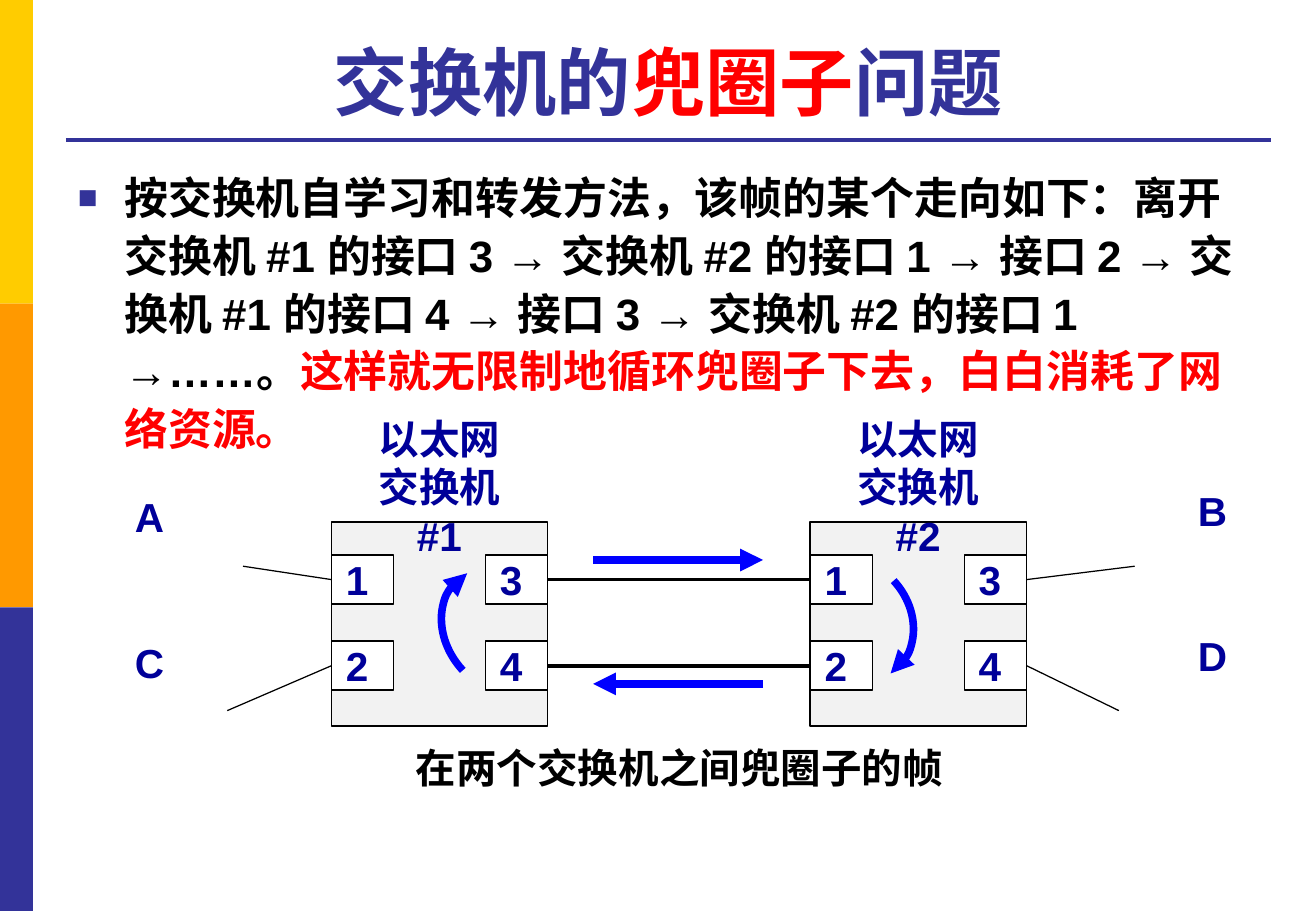
from lxml import etree
from pptx import Presentation
from pptx.dml.color import RGBColor
from pptx.enum.shapes import MSO_CONNECTOR, MSO_SHAPE
from pptx.enum.text import MSO_ANCHOR, MSO_AUTO_SIZE, PP_ALIGN
from pptx.oxml.ns import qn
from pptx.util import Cm, Pt

RECT, ARC = MSO_SHAPE.RECTANGLE, MSO_SHAPE.ARC
STRAIGHT = MSO_CONNECTOR.STRAIGHT
LEFT, CENTER = PP_ALIGN.LEFT, PP_ALIGN.CENTER
TOP, MIDDLE, BOTTOM = MSO_ANCHOR.TOP, MSO_ANCHOR.MIDDLE, MSO_ANCHOR.BOTTOM
NO_AUTOFIT = MSO_AUTO_SIZE.NONE
SIDE_LEFT, SIDE_RIGHT = 1, 3

BLACK = RGBColor(0x00, 0x00, 0x00)
WHITE = RGBColor(0xFF, 0xFF, 0xFF)
GRAY = RGBColor(0xF2, 0xF2, 0xF2)
RED = RGBColor(0xFF, 0x00, 0x00)
YELLOW = RGBColor(0xFF, 0xCC, 0x00)
ORANGE = RGBColor(0xFF, 0x99, 0x00)
INDIGO = RGBColor(0x33, 0x33, 0x99)
NAVY = RGBColor(0x00, 0x00, 0x99)
BLUE = RGBColor(0x00, 0x00, 0xFF)

SWITCH_W, SWITCH_H, SWITCH_TOP = 4.52, 4.27, 10.92
PORT_W, PORT_H = 1.3, 1.02
PORT_TOPS = (11.61, 13.41)


class Deck:
    font = "Arial"
    label_size = 24

    def __init__(self, width, height):
        self.prs = Presentation()
        self.prs.slide_width, self.prs.slide_height = Cm(width), Cm(height)

    def add_slide(self):
        self.slide = self.prs.slides.add_slide(self.prs.slide_layouts[5])

    def add_runs(self, p, parts, size, align=LEFT):
        """Fill a paragraph with (text, colour) parts."""
        p.alignment = align
        for text, color in parts:
            r = p.add_run()
            r.text = text
            r.font.name, r.font.size, r.font.bold = self.font, Pt(size), True
            r.font.color.rgb = color

    def title(self, box, parts):
        sp = self.slide.shapes.title
        sp.left, sp.top, sp.width, sp.height = map(Cm, box)
        tf = sp.text_frame
        tf.auto_size, tf.vertical_anchor = NO_AUTOFIT, BOTTOM
        self.add_runs(tf.paragraphs[0], parts, 44, CENTER)

    def text(self, box, lines, size=label_size, align=LEFT, margin=0.25):
        """Add a text box; each line is a list of (text, colour) parts."""
        tf = self.slide.shapes.add_textbox(*map(Cm, box)).text_frame
        tf.word_wrap, tf.auto_size, tf.vertical_anchor = True, NO_AUTOFIT, TOP
        tf.margin_left = tf.margin_right = Cm(margin)
        for i, parts in enumerate(lines):
            p = tf.add_paragraph() if i else tf.paragraphs[0]
            self.add_runs(p, parts, size, align)
        return tf

    def bullet(self, p, indent, color):
        pPr = p._p.get_or_add_pPr()
        pPr.set("marL", str(Cm(indent)))
        pPr.set("indent", str(-Cm(indent)))
        clr = etree.SubElement(pPr, qn("a:buClr"))
        etree.SubElement(clr, qn("a:srgbClr"), val=str(color))
        etree.SubElement(pPr, qn("a:buSzPct"), val="75000")
        etree.SubElement(pPr, qn("a:buFont"), typeface=self.font)
        etree.SubElement(pPr, qn("a:buChar"), char="■")

    def rect(self, box, fill, line=None, label=None):
        sp = self.slide.shapes.add_shape(RECT, *map(Cm, box))
        sp.shadow.inherit = False
        sp.fill.solid()
        sp.fill.fore_color.rgb = fill
        if line is None:
            sp.line.fill.background()
        else:
            sp.line.color.rgb, sp.line.width = line, Pt(1)
        if label:
            tf = sp.text_frame
            tf.word_wrap, tf.vertical_anchor = False, MIDDLE
            tf.margin_left = Cm(0.3)
            self.add_runs(tf.paragraphs[0], [(label, NAVY)], self.label_size)
        return sp

    def line(self, start, end, color=BLACK, width=0.75, begin=None, finish=None, arrow=False):
        """Add a line; begin and finish are (shape, side) joints."""
        c = self.slide.shapes.add_connector(STRAIGHT, *map(Cm, (*start, *end)))
        c.line.color.rgb, c.line.width = color, Pt(width)
        if begin:
            c.begin_connect(*begin)
        if finish:
            c.end_connect(*finish)
        if arrow:
            self.arrowhead(c)
        etree.SubElement(c._element.spPr, qn("a:effectLst"))

    def arc_arrow(self, box, rotation, end):
        sp = self.slide.shapes.add_shape(ARC, *map(Cm, box))
        sp.shadow.inherit = False
        sp.fill.background()
        sp.line.color.rgb, sp.line.width = BLUE, Pt(4.5)
        sp.rotation = rotation
        sp.adjustments[1] = end
        self.arrowhead(sp)

    def arrowhead(self, shape):
        ln = shape._element.spPr.find(qn("a:ln"))
        etree.SubElement(ln, qn("a:tailEnd"), type="triangle")

    def switch(self, left, number):
        """Draw a switch and return its four ports by number."""
        self.rect((left, SWITCH_TOP, SWITCH_W, SWITCH_H), GRAY, BLACK)
        ports = {}
        for i in range(4):
            col, row = divmod(i, 2)
            x = left + col * (SWITCH_W - PORT_W)
            ports[i + 1] = self.rect((x, PORT_TOPS[row], PORT_W, PORT_H), WHITE, BLACK, str(i + 1))
        self.text((left + 0.12, 8.53, 4.27, 2.31),
                  [[("以太网", NAVY)], [(f"交换机 #{number}", NAVY)]],
                  align=CENTER, margin=0.5)
        return ports


def main():
    deck = Deck(27.51, 19.05)
    deck.add_slide()
    for i, color in enumerate((YELLOW, ORANGE, INDIGO)):
        deck.rect((0, i * 6.35, 0.69, 6.35), color)
    deck.line((1.38, 2.93), (26.56, 2.93), INDIGO, 2.25)
    deck.title((1.38, 0.53, 25.18, 2.21),
               [("交换机的", INDIGO), ("兜圈子", RED), ("问题", INDIGO)])

    body = deck.text((1.38, 3.33, 25.18, 13.72), [[
        ("按交换机自学习和转发方法，该帧的某个走向如下：离开交换机 #1 的接口 3 → "
         "交换机 #2 的接口 1 → 接口 2 → 交换机 #1 的接口 4 → 接口 3 → "
         "交换机 #2 的接口 1 →……。", BLACK),
        ("这样就无限制地循环兜圈子下去，白白消耗了网络资源。", RED)]], 26)
    p = body.paragraphs[0]
    deck.bullet(p, 0.97, INDIGO)
    p.line_spacing = 1.1

    first = deck.switch(6.93, 1)
    second = deck.switch(16.94, 2)
    for right_port, left_port, top in zip((3, 4), (1, 2), PORT_TOPS):
        y = top + PORT_H / 2
        deck.line((11.45, y), (16.94, y), width=2.25,
                  begin=(first[right_port], SIDE_RIGHT), finish=(second[left_port], SIDE_LEFT))

    hosts = (
        ("A", (2.57, 10.16), (5.08, 11.84), (first[1], SIDE_LEFT)),
        ("C", (2.57, 13.21), (4.75, 14.86), (first[2], SIDE_LEFT)),
        ("B", (24.79, 10.03), (23.72, 11.84), (second[3], SIDE_RIGHT)),
        ("D", (24.79, 13.08), (23.39, 14.86), (second[4], SIDE_RIGHT)),
    )
    for name, corner, cable_end, joint in hosts:
        deck.text((*corner, 1.12, 1.27), [[(name, NAVY)]])
        deck.line(cable_end, cable_end, finish=joint)

    for x1, x2, y in ((12.4, 15.95, 11.71), (15.95, 12.4, 14.3)):
        deck.line((x1, y), (x2, y), BLUE, 4.5, arrow=True)
    deck.arc_arrow((9.09, 12.01, 2.92, 2.39), 227.2, 6.02)
    deck.arc_arrow((16.41, 11.76, 2.79, 2.39), 47.2, 4.22)

    deck.text((6.43, 15.42, 15.54, 1.27), [[("在两个交换机之间兜圈子的帧", BLACK)]], align=CENTER)
    deck.prs.save("out.pptx")


if __name__ == "__main__":
    main()
